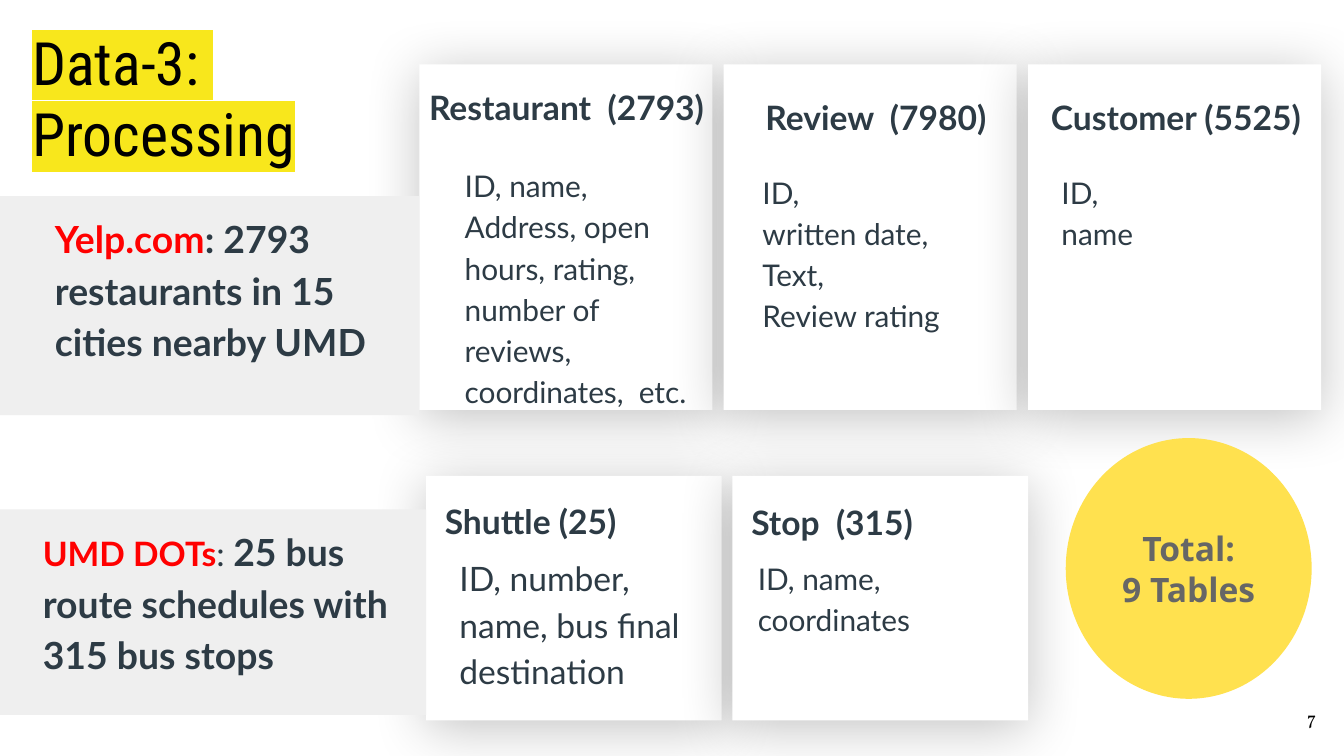
import pptx
import pptx.util
import pptx.dml.color
import pptx.enum.shapes
import pptx.enum.text
import pptx.oxml
import pptx.oxml.ns

SHAPES = pptx.enum.shapes.MSO_SHAPE
ALIGN = pptx.enum.text.PP_ALIGN
ANCHOR = pptx.enum.text.MSO_ANCHOR
INK, RED, GREY, YELLOW = "2D3B45", "FF0000", "EFEFEF", "FFE14F"

# Content: each row of cards shares a grid; offsets are from the card's corner
CARD_ROWS = [
    {"left": 3.12, "top": 0.48, "pitch": 2.265, "size": (2.18, 2.57), "cards": [
        {"heading": "Restaurant  (2793)", "heading_at": (-0.08, 0.12), "heading_width": 2.35,
         "heading_format": {"align": ALIGN.CENTER, "spacing": None},
         "fields": ["ID, name,", "Address, open hours, rating,", "number of reviews,",
                    "coordinates,  etc."], "fields_at": (0.24, 0.63)},
        {"heading": "Review  (7980)", "heading_at": (0.26, 0.15),
         "fields": ["ID,", "written date,", "Text,", "Review rating"],
         "fields_at": (0.19, 0.68)},
        {"heading": "Customer (5525)", "heading_at": (0.12, 0.15),
         "fields": ["ID,", "name"], "fields_at": (0.15, 0.68)},
    ]},
    {"left": 3.17, "top": 3.54, "pitch": 2.28, "size": (2.2, 1.82), "cards": [
        {"heading": "Shuttle (25)", "heading_at": (0.09, 0.09),
         "fields": ["ID, number, name, bus final destination"],
         "fields_at": (0.15, 0.47), "fields_format": {"size": 18, "after": 10}},
        {"heading": "Stop  (315)", "heading_at": (0.09, 0.1),
         "fields": ["ID, name, coordinates"], "fields_at": (0.09, 0.49)},
    ]},
]
SOURCES = [
    {"box": (-0.28, 3.79, 3.45, 1.53), "runs": [
        ("UMD DOTs", {"size": 18, "color": RED, "bold": True}),
        (": ", {"size": 18}),
        ("25 bus route schedules with 315 bus stops", {"size": 20, "bold": True})]},
    {"box": (-0.19, 1.46, 3.31, 1.63), "runs": [
        ("Yelp.com", {"size": 20, "color": RED, "bold": True}),
        (": 2793 restaurants in 15 cities nearby UMD", {"size": 20, "bold": True})]},
]

# A 16:9 slide
deck = pptx.Presentation()
deck.slide_width = pptx.util.Inches(10)
deck.slide_height = pptx.util.Inches(10 * 9 / 16)
slide = deck.slides.add_slide(deck.slide_layouts[6])


def rgb(value):
    return pptx.dml.color.RGBColor.from_string(value)


def inches(box):
    return [pptx.util.Inches(length) for length in box]


def add_node(parent, xml):
    node = pptx.oxml.parse_xml(xml.replace(" ", f" {pptx.oxml.ns.nsdecls('a')} ", 1))
    parent.append(node)
    return node


def add_panel(kind, box, fill, shadow=False):
    panel = slide.shapes.add_shape(kind, *inches(box))
    panel.fill.solid()
    panel.fill.fore_color.rgb = rgb(fill)
    panel.line.fill.background()
    panel.shadow.inherit = False
    if shadow:
        effects = panel._element.spPr.find(pptx.oxml.ns.qn("a:effectLst"))
        add_node(effects, f'<a:outerShdw blurRad="{pptx.util.Pt(31)}" dist="{pptx.util.Pt(4)}" '
                          'dir="5400000" algn="t" rotWithShape="0"><a:srgbClr val="000000">'
                          '<a:alpha val="24000"/></a:srgbClr></a:outerShdw>')
    return panel


def write(holder, paragraphs, font="Lato", size=18, color=INK, bold=False, align=ALIGN.LEFT,
          anchor=ANCHOR.TOP, inset=0.1, spacing=1.15, after=0, indent=0, highlight=None):
    """Fill a shape, or a new text box, with strings or lists of (text, format) runs."""
    if isinstance(holder, tuple):
        holder = slide.shapes.add_textbox(*inches(holder))
    frame = holder.text_frame
    frame.word_wrap = True
    frame.vertical_anchor = anchor
    frame.margin_left = frame.margin_right = pptx.util.Inches(inset)
    frame.margin_top = frame.margin_bottom = pptx.util.Inches(inset)
    for index, content in enumerate(paragraphs):
        paragraph = frame.add_paragraph() if index else frame.paragraphs[0]
        paragraph.alignment = align
        paragraph.line_spacing = spacing
        paragraph.space_after = pptx.util.Pt(after)
        if indent:
            paragraph._p.get_or_add_pPr().set("marL", str(pptx.util.Inches(indent)))
        for text, style in [(content, {})] if isinstance(content, str) else content:
            run = paragraph.add_run()
            run.text = text
            run.font.size = pptx.util.Pt(style.get("size", size))
            run.font.bold = style.get("bold", bold)
            run.font.color.rgb = rgb(style.get("color", color))
            if highlight:
                add_node(run.font._element,
                         f'<a:highlight ><a:srgbClr val="{highlight}"/></a:highlight>')
            run.font.name = font


# Slide number
write((9.29, 5.13, 0.6, 0.43), ["7"], font="Vollkorn", size=10, color="000000",
      align=ALIGN.RIGHT, anchor=ANCHOR.MIDDLE, spacing=None)

# Cards go below all text, so that no shadow covers a word
placed = []
for row in CARD_ROWS:
    for column, card in enumerate(row["cards"]):
        left = row["left"] + column * row["pitch"]
        add_panel(SHAPES.RECTANGLE, (left, row["top"], *row["size"]), "FFFFFF", shadow=True)
        placed.append((left, row["top"], card))

# Total
total = add_panel(SHAPES.OVAL, (7.93, 3.26, 1.83, 1.94), YELLOW)
write(total, ["Total:", "9 Tables"], font="Open Sans", color="666666", bold=True,
      align=ALIGN.CENTER, anchor=ANCHOR.MIDDLE, inset=0, spacing=None)

# Card headings and fields
for left, top, card in placed:
    dx, dy = card["heading_at"]
    write((left + dx, top + dy, card.get("heading_width", 2.1), 0.43), [card["heading"]],
          bold=True, inset=0.05, **card.get("heading_format", {}))
    dx, dy = card["fields_at"]
    height = 1.94 if len(card["fields"]) > 1 else 1.12
    write((left + dx, top + dy, 2, height), card["fields"],
          **{"size": 16, **card.get("fields_format", {})})

# Title
write((0.14, 0.09, 2.35, 1.23), ["Data-3: ", "Processing"], font="Roboto Condensed",
      size=32, color="000000", spacing=None, highlight="F8E71C")

# Source bands
for source in SOURCES:
    band = add_panel(SHAPES.RECTANGLE, source["box"], GREY)
    write(band, [source["runs"]], after=10, indent=0.5)

deck.save("out.pptx")
